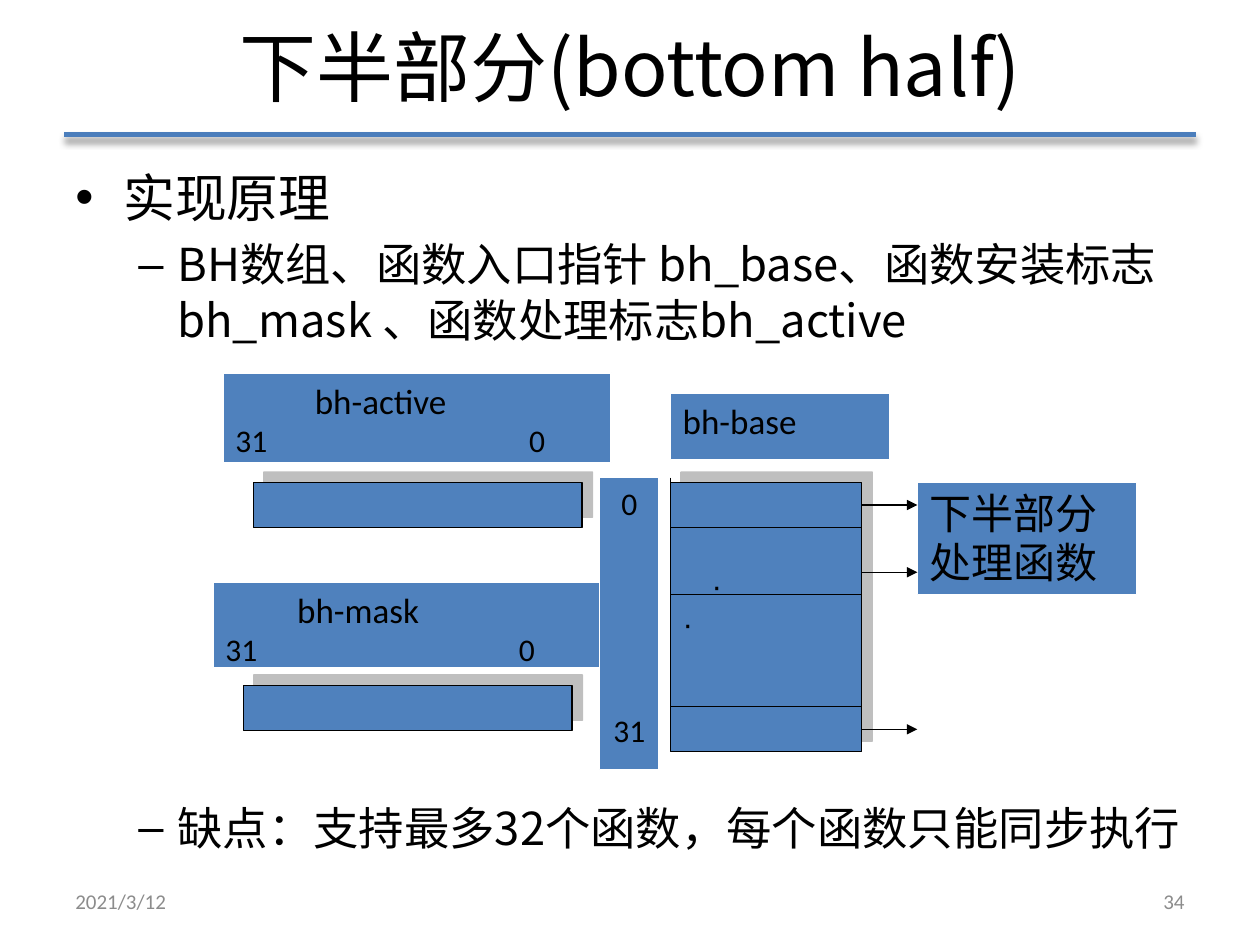
import pptx
import pptx.dml.color
import pptx.enum.shapes
import pptx.enum.text
import pptx.oxml
import pptx.oxml.ns
import pptx.util

COLORS = {
    "rule": "4B7EBC",
    "fill": "4F81BD",
    "white": "FFFFFF",
    "black": "000000",
    "shadow": "808080",
    "footer": "8C8C8C",
}
CJK = "Noto Sans CJK JP"
LATIN = "Calibri"
WIDTH = pptx.util.Inches(10)
HEIGHT = pptx.util.Inches(7.5)
COLUMN = WIDTH / 100
ROW = HEIGHT / 75

ALIGN = pptx.enum.text.PP_ALIGN
ANCHOR = pptx.enum.text.MSO_ANCHOR

BASE_LEFT, BASE_TOP, BASE_WIDTH, BASE_STEP = 53.2, 38.3, 15.2, 1.78
BASE_RIGHT = BASE_LEFT + BASE_WIDTH
ARROW_END = 72.8


def place(left, top, width, height):
    return [round(left * COLUMN), round(top * ROW), round(width * COLUMN), round(height * ROW)]


def color(name):
    return pptx.dml.color.RGBColor.from_string(COLORS[name])


def append_xml(parent, xml):
    namespace = pptx.oxml.ns.nsdecls("a")
    parent.append(pptx.oxml.parse_xml(xml.replace(">", f" {namespace}>", 1)))


def add_shadow(element, name, opacity, blur, distance, angle):
    append_xml(
        element,
        f'<a:effectLst><a:outerShdw blurRad="{pptx.util.Pt(blur)}" '
        f'dist="{pptx.util.Pt(distance)}" dir="{angle * 60000}" algn="ctr" rotWithShape="0">'
        f'<a:srgbClr val="{COLORS[name]}"><a:alpha val="{opacity * 1000}"/></a:srgbClr>'
        '</a:outerShdw></a:effectLst>',
    )


def indent(para, left, hanging=0, bullet=None):
    properties = para._p.get_or_add_pPr()
    properties.set("marL", str(pptx.util.Inches(left)))
    properties.set("indent", str(pptx.util.Inches(-hanging)))
    if bullet:
        append_xml(properties, '<a:buFont typeface="Arial"></a:buFont>')
        append_xml(properties, f'<a:buChar char="{bullet}"></a:buChar>')


def add_tab(para, position):
    append_xml(
        para._p.get_or_add_pPr(),
        f'<a:tabLst><a:tab pos="{pptx.util.Inches(position)}" algn="l"/></a:tabLst>',
    )


def style(para, size, font=LATIN, name="black", align=ALIGN.LEFT):
    para.alignment = align
    for span in para.runs:
        span.font.size = pptx.util.Pt(size)
        span.font.name = font
        span.font.color.rgb = color(name)
        if font == CJK:
            append_xml(span._r.get_or_add_rPr(), f'<a:ea typeface="{CJK}"></a:ea>')


def add_text(page, text, area, size, font=LATIN, name="black", align=ALIGN.LEFT, anchor=ANCHOR.MIDDLE):
    box = page.shapes.add_textbox(*place(*area))
    frame = box.text_frame
    frame.word_wrap = True
    frame.vertical_anchor = anchor
    frame.text = text
    for para in frame.paragraphs:
        style(para, size, font, name, align)
    return frame


def add_box(page, area, outline="white", text="", sizes=(), align=ALIGN.LEFT, shadow=False):
    box = page.shapes.add_shape(pptx.enum.shapes.MSO_SHAPE.RECTANGLE, *place(*area))
    box.fill.solid()
    box.fill.fore_color.rgb = color("fill")
    box.line.color.rgb = color(outline)
    box.line.width = pptx.util.Pt(0.75)
    if shadow:
        add_shadow(box._element.spPr, "shadow", 50, 0, 8.5, 315)
    else:
        box.shadow.inherit = False
    frame = box.text_frame
    frame.word_wrap = True
    frame.vertical_anchor = ANCHOR.TOP
    frame.text = text
    for para, size in zip(frame.paragraphs, sizes):
        style(para, size, align=align)
    return frame


def add_line(page, start, end, name="black", width=0.75, arrow=False):
    left, top, right, bottom = place(*start, *end)
    line = page.shapes.add_connector(
        pptx.enum.shapes.MSO_CONNECTOR.STRAIGHT, left, top, right, bottom
    )
    line.line.color.rgb = color(name)
    line.line.width = pptx.util.Pt(width)
    if arrow:
        append_xml(line.line._get_or_add_ln(), '<a:tailEnd type="triangle"></a:tailEnd>')
    if name == "rule":
        add_shadow(line._element.spPr, "black", 40, 4, 3, 90)
    else:
        append_xml(line._element.spPr, "<a:effectLst></a:effectLst>")


def add_body(page):
    points = [
        ("实现原理", 29.6, 0.38, 0.38, "•", 38, 0),
        ("BH数组、函数入口指针 bh_base、函数安装标志bh_mask 、函数处理标志bh_active",
         25.9, 0.81, 0.31, "–", 32, 4),
        ("缺点：支持最多32个函数，每个函数只能同步执行", 25.9, 0.81, 0.31, "–", 32, 258),
    ]
    text = "\n".join(point[0] for point in points)
    frame = add_text(page, text, (5, 12.3, 90, 58.3), 25.9, CJK, anchor=ANCHOR.TOP)
    for para, (_, size, left, hanging, bullet, spacing, before) in zip(frame.paragraphs, points):
        para.line_spacing = pptx.util.Pt(spacing)
        para.space_before = pptx.util.Pt(before)
        indent(para, left, hanging, bullet)
        para.runs[0].font.size = pptx.util.Pt(size)


def add_register_label(page, name, area, offset):
    frame = add_box(page, area, text=f"{name}\n31\t0", sizes=(20, 18))
    title, bits = frame.paragraphs
    indent(title, offset)
    add_tab(bits, 2.33)


def add_index_column(page):
    frame = add_box(page, (47.6, 37.9, 4.7, 23.2), text="0\n31", sizes=(18, 18), align=ALIGN.CENTER)
    frame.paragraphs[1].space_before = pptx.util.Pt(108)


def add_base_table(page):
    area = (BASE_LEFT, BASE_TOP, BASE_WIDTH, 12 * BASE_STEP)
    frame = add_box(page, area, "black", "·\n·", (18, 18), ALIGN.JUSTIFY, shadow=True)
    frame.margin_top = pptx.util.Inches(0.66)
    indent(frame.paragraphs[0], 0.23)
    for para in frame.paragraphs:
        para.runs[0].font.name = "Arial"
    for step in (2, 5, 10):
        height = BASE_TOP + step * BASE_STEP
        add_line(page, (BASE_LEFT, height), (BASE_RIGHT, height))
    add_line(page, (BASE_LEFT, 37.9), (BASE_LEFT, 59.3))


def add_handlers(page):
    frame = add_box(page, (ARROW_END, BASE_TOP, 17.4, 8.9), text="下半部分\n处理函数", sizes=(24, 24))
    for para in frame.paragraphs:
        para.line_spacing = pptx.util.Pt(28)
    for step in (1, 4, 11):
        height = BASE_TOP + step * BASE_STEP
        add_line(page, (BASE_RIGHT, height), (ARROW_END, height), arrow=True)


def main():
    deck = pptx.Presentation()
    deck.slide_width, deck.slide_height = WIDTH, HEIGHT
    page = deck.slides.add_slide(deck.slide_layouts[6])
    add_line(page, (5.1, 10.7), (94.9, 10.7), "rule", 3)
    add_text(page, "下半部分(bottom half)", (5, -0.3, 90, 11), 44, CJK, align=ALIGN.CENTER)
    add_body(page)
    add_text(page, "2021/3/12", (5, 69.5, 23.3, 4), 12, name="footer")
    add_text(page, "34", (71.7, 69.5, 23.3, 4), 12, name="footer", align=ALIGN.RIGHT)
    add_register_label(page, "bh-mask", (16.9, 46.2, 30.7, 6.8), 0.57)
    add_index_column(page)
    add_base_table(page)
    add_register_label(page, "bh-active", (17.7, 29.6, 30.8, 7.1), 0.63)
    add_box(page, (BASE_LEFT, 31.2, 17.4, 5.3), text="bh-base", sizes=(20,))
    add_handlers(page)
    for left, top in ((20.1, 38.3), (19.3, 54.4)):
        add_box(page, (left, top, 26.1, 3.6), "black", shadow=True)
    deck.save("out.pptx")


if __name__ == "__main__":
    main()
